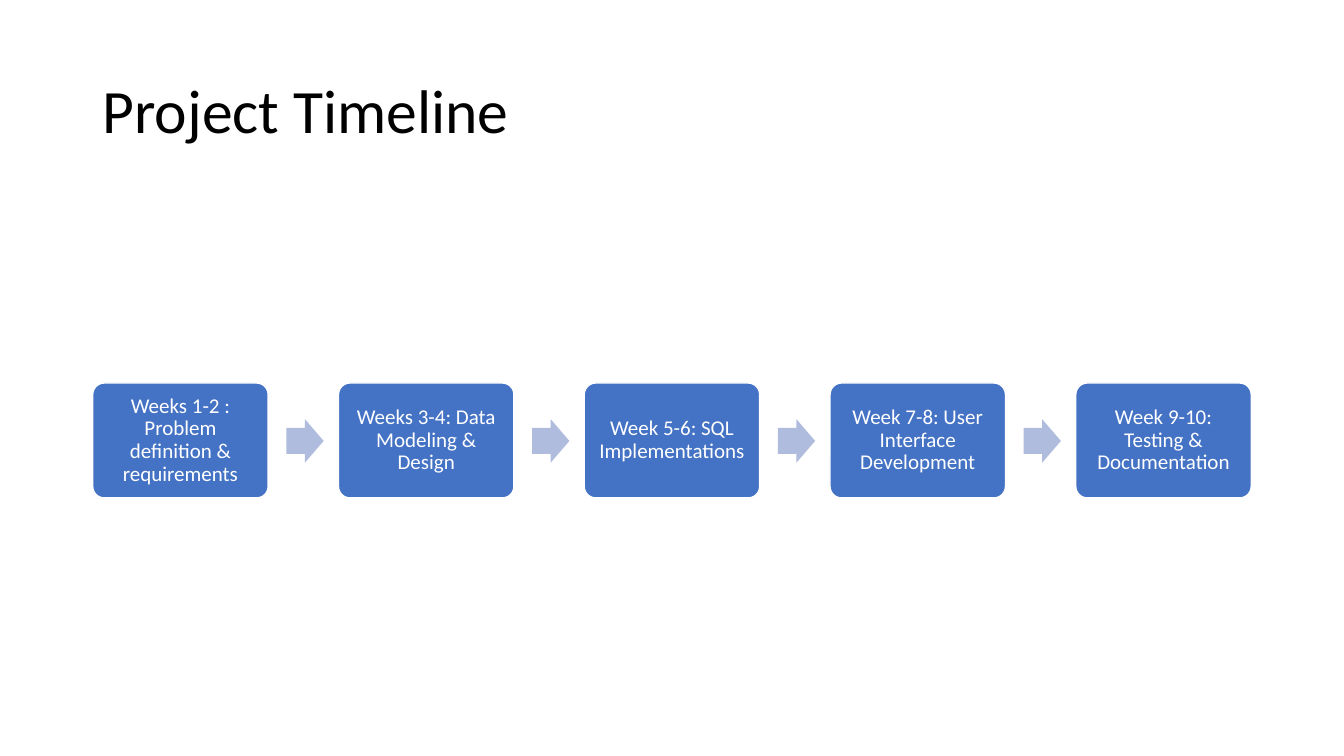
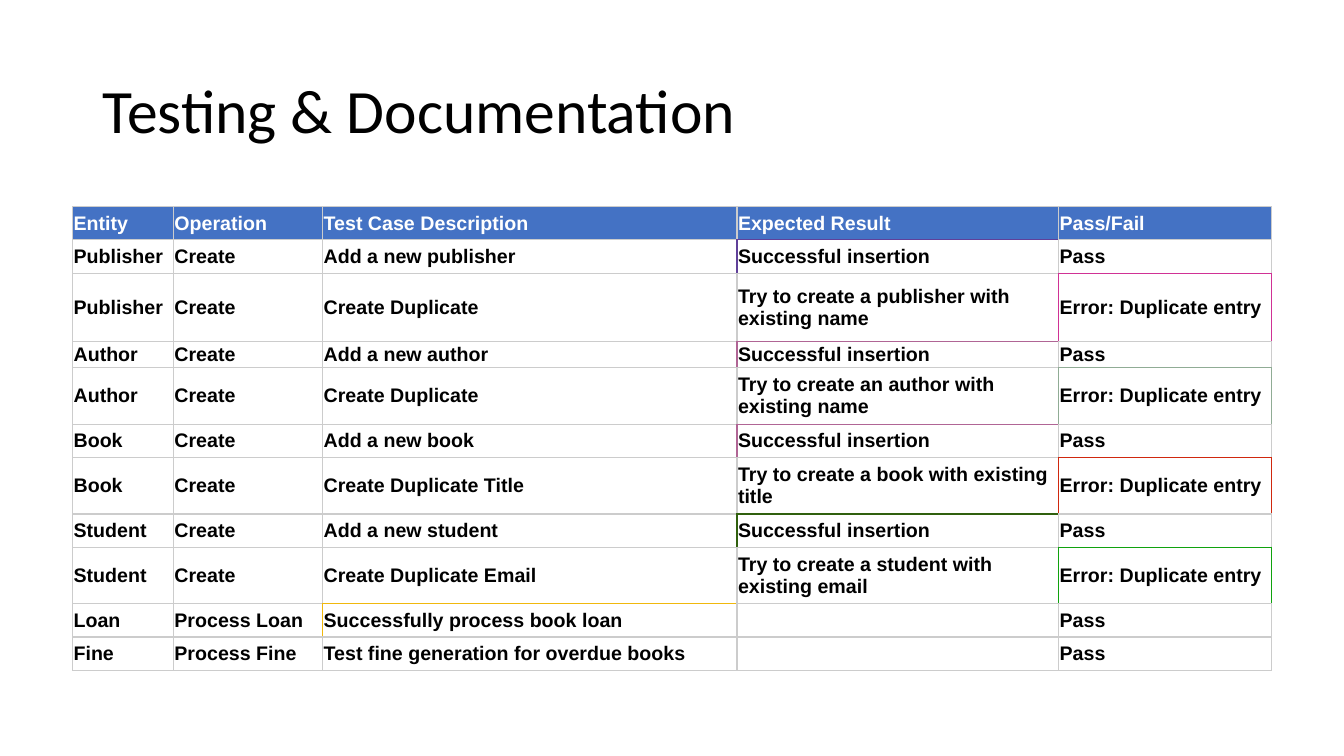
"""Build the project timeline slide and the testing results slide."""

from dataclasses import dataclass

from lxml import etree
from pptx import Presentation
from pptx import util as u
from pptx.dml.color import RGBColor
from pptx.enum import shapes, text
from pptx.oxml.ns import qn
from pptx.slide import Slide
from pptx.table import _Cell
from pptx.text.text import TextFrame


@dataclass(frozen=True)
class Theme:
    blue: str = "4472C4"
    pale_blue: str = "B0BCDE"
    white: str = "FFFFFF"
    black: str = "000000"
    grid: str = "CCCCCC"
    heading_font: str = "Calibri"
    table_font: str = "Arial"
    title_size: float = 44
    step_size: float = 15
    table_size: float = 14


@dataclass(frozen=True)
class Accent:
    row: int
    column: int
    colour: str
    sides: str


@dataclass(frozen=True)
class TestCase:
    entity: str
    operation: str
    description: str
    expected: str
    outcome: str
    height: float

    def texts(self) -> tuple[str, ...]:
        return self.entity, self.operation, self.description, self.expected, self.outcome


THEME = Theme()
INSERTED = "Successful insertion"
DUPLICATE = "Error: Duplicate entry"

STEPS = (
    "Weeks 1-2 : Problem definition & requirements",
    "Weeks 3-4: Data Modeling & Design",
    "Week 5-6: SQL Implementations",
    "Week 7-8: User Interface Development",
    "Week 9-10: Testing & Documentation",
)

COLUMN_WIDTHS = (1, 1.48, 4.11, 3.19, 2.11)
TEST_CASES = (
    TestCase("Entity", "Operation", "Test Case Description", "Expected Result", "Pass/Fail", 0.33),
    TestCase("Publisher", "Create", "Add a new publisher", INSERTED, "Pass", 0.33),
    TestCase("Publisher", "Create", "Create Duplicate",
             "Try to create a publisher with existing name", DUPLICATE, 0.68),
    TestCase("Author", "Create", "Add a new author", INSERTED, "Pass", 0.26),
    TestCase("Author", "Create", "Create Duplicate",
             "Try to create an author with existing name", DUPLICATE, 0.56),
    TestCase("Book", "Create", "Add a new book", INSERTED, "Pass", 0.33),
    TestCase("Book", "Create", "Create Duplicate Title",
             "Try to create a book with existing title", DUPLICATE, 0.56),
    TestCase("Student", "Create", "Add a new student", INSERTED, "Pass", 0.33),
    TestCase("Student", "Create", "Create Duplicate Email",
             "Try to create a student with existing email", DUPLICATE, 0.56),
    TestCase("Loan", "Process Loan", "Successfully process book loan", "", "Pass", 0.33),
    TestCase("Fine", "Process Fine", "Test fine generation for overdue books", "", "Pass", 0.33),
)

ACCENTS = (
    Accent(1, 3, "604099", "LT"),
    Accent(2, 4, "D03295", "LTR"),
    Accent(3, 3, "B06595", "LT"),
    Accent(4, 4, "90AC95", "LTR"),
    Accent(5, 3, "B06595", "LT"),
    Accent(6, 4, "D0280E", "LTR"),
    Accent(7, 3, "30600E", "LT"),
    Accent(8, 4, "10A20E", "LTR"),
    Accent(9, 2, "F0B80D", "LT"),
)

NEIGHBOURS = {"L": (0, -1, "R"), "R": (0, 1, "L"), "T": (-1, 0, "B"), "B": (1, 0, "T")}


def write_text(frame: TextFrame, content: str, *, size: float, colour: str,
               font: str = THEME.heading_font, bold: bool = False,
               align: text.PP_ALIGN = text.PP_ALIGN.LEFT, line_spacing: float = 1) -> None:
    """Write one formatted paragraph into a text frame."""
    paragraph = frame.paragraphs[0]
    paragraph.alignment = align
    paragraph.line_spacing = line_spacing
    if not content:
        return
    run = paragraph.add_run()
    run.text = content
    run.font.size = u.Pt(size)
    run.font.name = font
    run.font.bold = bold
    run.font.color.rgb = RGBColor.from_string(colour)


def add_title(slide: Slide, content: str) -> None:
    """Add the shared slide title."""
    box = slide.shapes.add_textbox(u.Inches(0.92), u.Inches(0.4), u.Inches(11.5), u.Inches(1.45))
    frame = box.text_frame
    frame.word_wrap = True
    frame.vertical_anchor = text.MSO_ANCHOR.MIDDLE
    write_text(frame, content, size=THEME.title_size, colour=THEME.black, line_spacing=0.9)


def add_block(slide: Slide, kind: shapes.MSO_SHAPE, left: float, top: float, width: float,
              height: float, *, fill: str, line: str | None = None,
              adjustments: tuple[float, ...] = ()):
    """Add a flat preset shape with an optional outline."""
    shape = slide.shapes.add_shape(
        kind, u.Inches(left), u.Inches(top), u.Inches(width), u.Inches(height))
    shape.shadow.inherit = False
    shape.fill.solid()
    shape.fill.fore_color.rgb = RGBColor.from_string(fill)
    if line:
        shape.line.color.rgb = RGBColor.from_string(line)
        shape.line.width = u.Pt(1)
    else:
        shape.line.fill.background()
    for index, value in enumerate(adjustments):
        shape.adjustments[index] = value
    return shape


def add_timeline(slide: Slide) -> None:
    """Draw the project steps with an arrow between each pair."""
    first_left, pitch = 0.92, 9.75 / (len(STEPS) - 1)
    for index, step in enumerate(STEPS):
        left = first_left + index * pitch
        box = add_block(slide, shapes.MSO_SHAPE.ROUNDED_RECTANGLE, left, 3.8, 1.74, 1.14,
                        fill=THEME.blue, line=THEME.white, adjustments=(0.1,))
        frame = box.text_frame
        frame.word_wrap = True
        frame.vertical_anchor = text.MSO_ANCHOR.MIDDLE
        frame.margin_left = frame.margin_right = u.Inches(0.06)
        frame.margin_top = frame.margin_bottom = u.Inches(0.06)
        write_text(frame, step, size=THEME.step_size, colour=THEME.white,
                   align=text.PP_ALIGN.CENTER, line_spacing=0.9)
        if index < len(STEPS) - 1:
            add_block(slide, shapes.MSO_SHAPE.RIGHT_ARROW, left + 1.92, 4.16, 0.37, 0.43,
                      fill=THEME.pale_blue, adjustments=(0.6, 0.5))


def edge_colours() -> dict[tuple[int, int, str], str]:
    """Map accented edges to colours on both cells that share them."""
    colours = {}
    for accent in ACCENTS:
        for side in accent.sides:
            row_step, column_step, opposite = NEIGHBOURS[side]
            colours[accent.row, accent.column, side] = accent.colour
            colours[accent.row + row_step, accent.column + column_step, opposite] = accent.colour
    return colours


def add_border(cell: _Cell, side: str, colour: str) -> None:
    """Add a one-point border to one side of a cell."""
    properties = cell._tc.get_or_add_tcPr()
    line = etree.SubElement(properties, qn(f"a:ln{side}"), w=str(u.Pt(1)))
    fill = etree.SubElement(line, qn("a:solidFill"))
    etree.SubElement(fill, qn("a:srgbClr"), val=colour)


def add_test_table(slide: Slide) -> None:
    """Draw the table of test cases with accented cell borders."""
    frame = slide.shapes.add_table(
        len(TEST_CASES), len(COLUMN_WIDTHS), u.Inches(0.72), u.Inches(2.05),
        u.Inches(sum(COLUMN_WIDTHS)), u.Inches(sum(case.height for case in TEST_CASES)))
    table = frame.table
    table.horz_banding = False
    for column, width in zip(table.columns, COLUMN_WIDTHS):
        column.width = u.Inches(width)
    colours = edge_colours()
    for row, case in enumerate(TEST_CASES):
        table.rows[row].height = u.Inches(case.height)
        is_header = row == 0
        for column, content in enumerate(case.texts()):
            cell = table.cell(row, column)
            cell.vertical_anchor = text.MSO_ANCHOR.MIDDLE
            cell.margin_left = cell.margin_right = u.Inches(0.01)
            cell.margin_top = cell.margin_bottom = u.Inches(0.01)
            for side in "LRTB":
                add_border(cell, side, colours.get((row, column, side), THEME.grid))
            cell.fill.solid()
            cell.fill.fore_color.rgb = RGBColor.from_string(
                THEME.blue if is_header else THEME.white)
            write_text(cell.text_frame, content, size=THEME.table_size, font=THEME.table_font,
                       bold=True, colour=THEME.white if is_header else THEME.black)


def main() -> None:
    """Build and save the presentation."""
    presentation = Presentation()
    presentation.slide_width = u.Inches(13.33)
    presentation.slide_height = u.Inches(7.5)
    for title, draw in (("Project Timeline", add_timeline),
                        ("Testing & Documentation", add_test_table)):
        slide = presentation.slides.add_slide(presentation.slide_layouts[6])
        add_title(slide, title)
        draw(slide)
    presentation.save("out.pptx")


if __name__ == "__main__":
    main()
